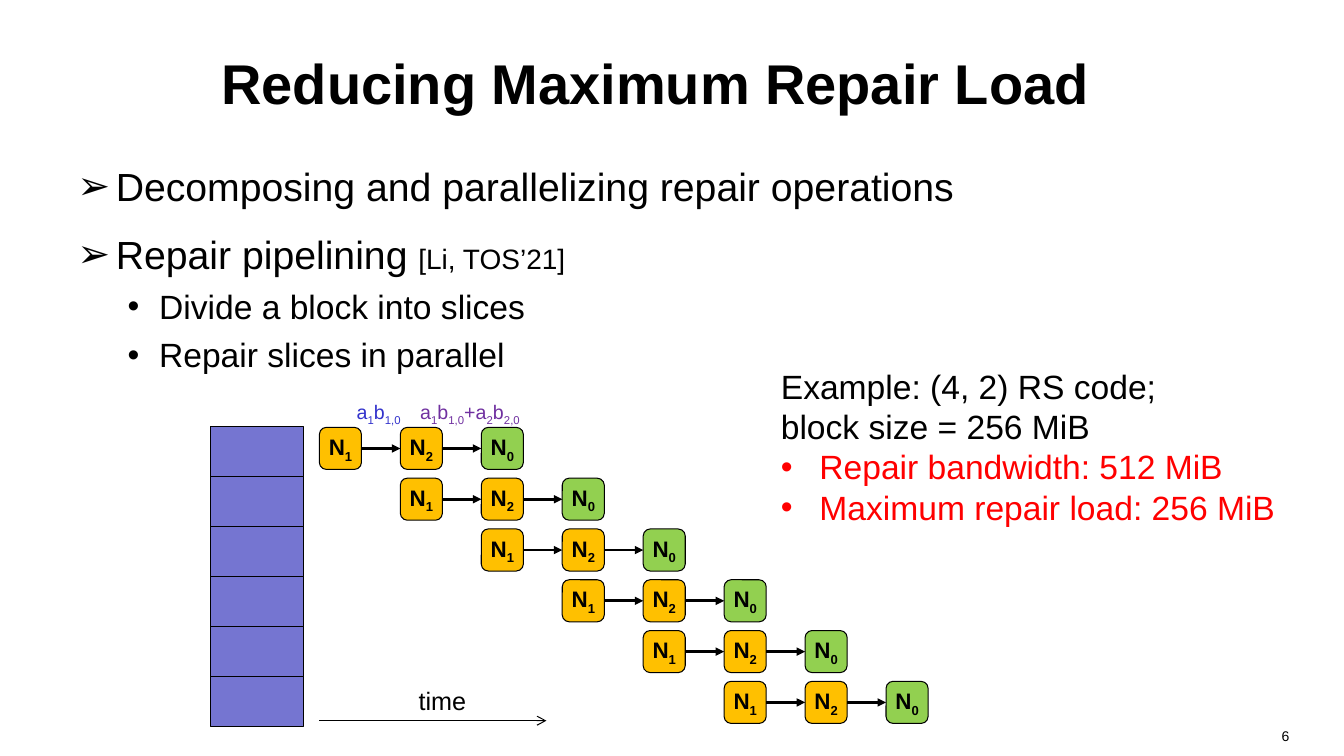
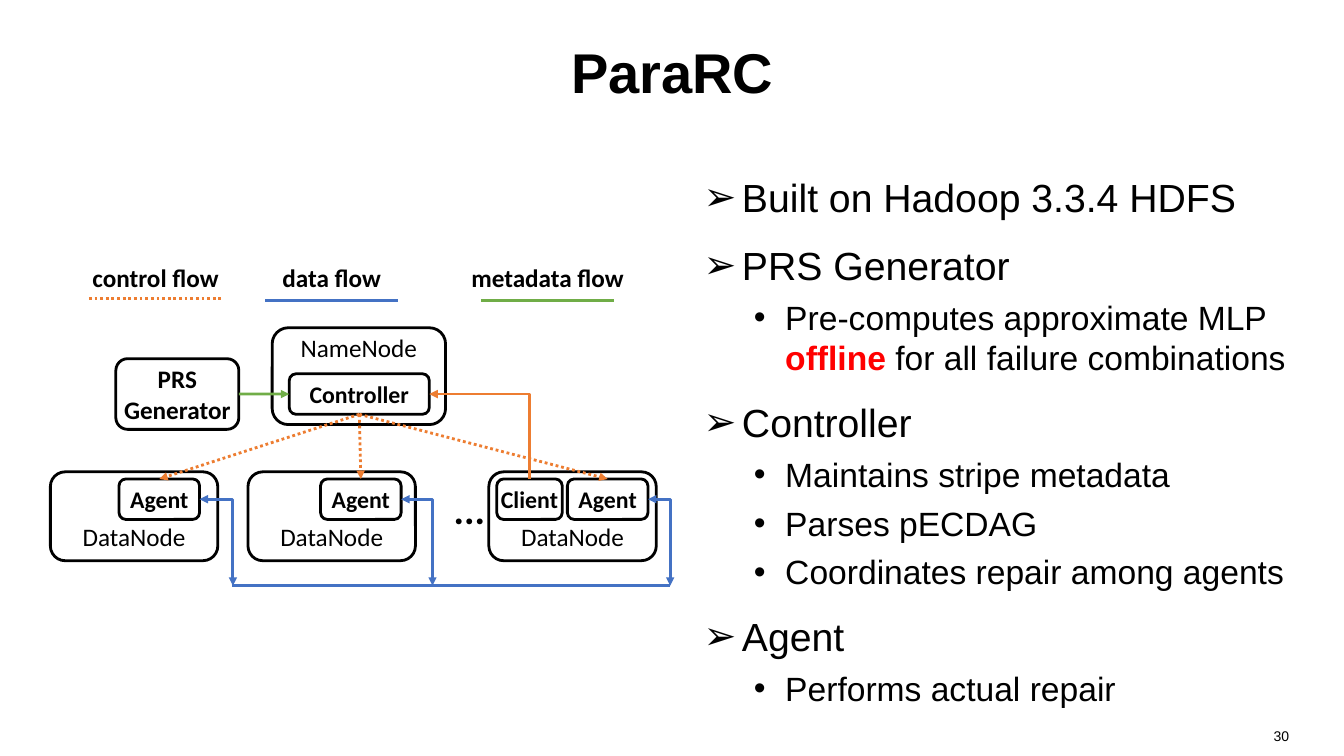
from lxml.etree import SubElement
from pptx import Presentation
from pptx.dml.color import RGBColor
from pptx.enum.dml import MSO_LINE
from pptx.enum.shapes import MSO_CONNECTOR, MSO_SHAPE
from pptx.enum.text import MSO_ANCHOR, PP_ALIGN
from pptx.oxml.ns import qn
from pptx.util import Cm, Pt

BLACK = RGBColor(0x00, 0x00, 0x00)
RED = RGBColor(0xFF, 0x00, 0x00)
SLICE = RGBColor(0x75, 0x75, 0xD1)
HELPER = RGBColor(0xFF, 0xC0, 0x00)
REQUESTOR = RGBColor(0x92, 0xD0, 0x50)
INDIGO = RGBColor(0x33, 0x33, 0xCC)
PURPLE = RGBColor(0x70, 0x30, 0xA0)
ORANGE = RGBColor(0xED, 0x7D, 0x31)
BLUE = RGBColor(0x44, 0x72, 0xC4)
GREEN = RGBColor(0x70, 0xAD, 0x47)

# Bullet level: symbol, text indent (cm), hanging (cm), size (pt), space before (pt)
LEVELS = [("➢", 0.97, 0.97, 28, 15), ("•", 2.06, 0.79, 24, 6)]


class Deck:
    def __init__(self):
        self.prs = Presentation()
        self.prs.slide_width, self.prs.slide_height = Cm(33.87), Cm(19.05)
        self.s = None

    def slide(self, title, number, left, top):
        self.s = self.prs.slides.add_slide(self.prs.slide_layouts[6])
        self.text(title, left, top, 30.48, 3.18, 40, bold=True,
                  anchor=MSO_ANCHOR.MIDDLE)
        self.text(str(number), 24.84, 18.2, 7.9, 0.85, 10, align=PP_ALIGN.RIGHT)

    def run(self, p, text, size, color=BLACK, bold=False, font="Arial"):
        r = p.add_run()
        r.text = text
        r.font.size, r.font.bold, r.font.name = Pt(size), bold, font
        r.font.color.rgb = color
        return r

    def runs(self, p, text, size, **style):
        """Add text whose every second |-separated part is a subscript."""
        for i, part in enumerate(text.split("|")):
            r = self.run(p, part, size, **style)
            if i % 2:
                r._r.get_or_add_rPr().set("baseline", "-25000")

    def frame(self, left, top, width, height):
        box = self.s.shapes.add_textbox(Cm(left), Cm(top), Cm(width), Cm(height))
        box.text_frame.word_wrap = True
        return box.text_frame

    def text(self, text, left, top, width, height, size,
             align=PP_ALIGN.CENTER, anchor=MSO_ANCHOR.TOP, **style):
        tf = self.frame(left, top, width, height)
        tf.vertical_anchor = anchor
        p = tf.paragraphs[0]
        p.alignment = align
        self.runs(p, text, size, **style)

    def bullet(self, p, symbol, indent, hanging):
        pPr = p._p.get_or_add_pPr()
        pPr.set("marL", str(Cm(indent)))
        pPr.set("indent", str(-Cm(hanging)))
        SubElement(pPr, qn("a:buFont")).set("typeface", "Arial")
        SubElement(pPr, qn("a:buChar")).set("char", symbol)

    def bullets(self, items, left, top, width, height):
        """Each item is a level followed by (text, style) runs."""
        tf = self.frame(left, top, width, height)
        for i, (level, *parts) in enumerate(items):
            p = tf.add_paragraph() if i else tf.paragraphs[0]
            symbol, indent, hanging, size, before = LEVELS[level]
            self.bullet(p, symbol, indent, hanging)
            p.level = level
            if i:
                p.space_before = Pt(before)
            for text, style in parts:
                self.run(p, text, **{"size": size, **style})

    def box(self, left, top, width, height, text="", fill=None, line=2,
            kind=MSO_SHAPE.ROUNDED_RECTANGLE, size=17, font="Calibri"):
        sp = self.s.shapes.add_shape(kind, Cm(left), Cm(top), Cm(width), Cm(height))
        sp.shadow.inherit = False
        if fill is None:
            sp.fill.background()
        else:
            sp.fill.solid()
            sp.fill.fore_color.rgb = fill
        sp.line.color.rgb, sp.line.width = BLACK, Pt(line)
        tf = sp.text_frame
        tf.margin_left = tf.margin_right = tf.margin_top = tf.margin_bottom = 0
        tf.vertical_anchor = MSO_ANCHOR.MIDDLE
        for i, row in enumerate(text.splitlines()):
            p = tf.add_paragraph() if i else tf.paragraphs[0]
            p.alignment = PP_ALIGN.CENTER
            self.runs(p, row, size, bold=True, font=font)
        return sp

    def line(self, start=(0, 0), end=(0, 0), color=BLACK, width=2, head=None,
             tail=None, dotted=False, elbow=False):
        """Draw a line; an elbow goes across first, then down."""
        kind = MSO_CONNECTOR.ELBOW if elbow else MSO_CONNECTOR.STRAIGHT
        c = self.s.shapes.add_connector(kind, *map(Cm, (*start, *end)))
        c.line.color.rgb, c.line.width = color, Pt(width)
        if dotted:
            c.line.dash_style = MSO_LINE.ROUND_DOT
        spPr = c._element.spPr
        if elbow:
            spPr.find(qn("a:prstGeom")).set("prst", "bentConnector2")
        for tag, arrow in (("a:headEnd", head), ("a:tailEnd", tail)):
            if arrow:
                SubElement(spPr.find(qn("a:ln")), qn(tag)).set("type", arrow)
        SubElement(spPr, qn("a:effectLst"))
        return c

    def join(self, a, a_side, b, b_side, **style):
        c = self.line(tail="triangle", **style)
        c.begin_connect(a, a_side)
        c.end_connect(b, b_side)


def repair_load(d):
    d.slide("Reducing Maximum Repair Load", 6, 1.27, 0.48)
    d.bullets([
        (0, ("Decomposing and parallelizing repair operations", {})),
        (0, ("Repair pipelining ", {}), ("[Li, TOS’21]", {"size": 20})),
        (1, ("Divide a block into slices", {})),
        (1, ("Repair slices in parallel", {})),
    ], 1.7, 3.96, 30.48, 6)

    for row in range(6):
        d.box(5.3, 10.74 + 1.26 * row, 2.34, 1.26, fill=SLICE, line=0.75,
              kind=MSO_SHAPE.RECTANGLE)
        previous = None
        for col, (name, fill) in enumerate(
                [("N|1", HELPER), ("N|2", HELPER), ("N|0", REQUESTOR)]):
            node = d.box(8.05 + 2.04 * (row + col), 10.77 + 1.28 * row, 1.06, 1.06,
                         name, fill, 0.75, size=16, font="Arial")
            if previous:
                d.join(previous, 3, node, 1)
            previous = node

    d.text("a|1|b|1,0", 8.74, 9.96, 2.2, 0.86, 14, PP_ALIGN.LEFT, color=INDIGO)
    d.text("a|1|b|1,0|+a|2|b|2,0", 10.34, 9.96, 4, 0.86, 14, PP_ALIGN.LEFT,
           color=PURPLE)
    d.line((8.05, 18.16), (13.77, 18.16), width=0.75, tail="arrow")
    d.text("time", 10.05, 17.15, 2.2, 1.02, 18)

    tf = d.frame(19.43, 9.09, 14, 4.37)
    p = tf.paragraphs[0]
    d.run(p, "Example: (4, 2) RS code;", 24)
    p.add_line_break()
    d.run(p, "block size = 256 MiB", 24)
    for cost in ("Repair bandwidth: 512 MiB", "Maximum repair load: 256 MiB"):
        p = tf.add_paragraph()
        d.bullet(p, "•", 0.97, 0.97)
        d.run(p, cost, 24, RED)


def pararc(d):
    d.slide("ParaRC", 30, 1.7, 0.2)
    d.bullets([
        (0, ("Built on Hadoop 3.3.4 HDFS", {})),
        (0, ("PRS Generator", {})),
        (1, ("Pre-computes approximate MLP ", {}),
            ("offline", {"color": RED, "bold": True}),
            (" for all failure combinations", {})),
        (0, ("Controller", {})),
        (1, ("Maintains stripe metadata", {})),
        (1, ("Parses pECDAG", {})),
        (1, ("Coordinates repair among agents", {})),
        (0, ("Agent", {})),
        (1, ("Performs actual repair", {})),
    ], 17.48, 4.24, 16.38, 13.92)

    for name, center, y, color, dotted in [
            ("control flow", 3.92, 7.52, ORANGE, True),
            ("data flow", 8.36, 7.57, BLUE, False),
            ("metadata flow", 13.8, 7.57, GREEN, False)]:
        d.text(name, center - 2.5, 6.48, 5, 1.02, 18, bold=True, font="Calibri")
        d.line((center - 1.68, y), (center + 1.68, y), color, dotted=dotted)

    d.box(6.86, 8.26, 4.37, 2.44)
    d.text("NameNode", 6.86, 8.26, 4.37, 1.02, 18, font="Calibri")
    controller = d.box(7.29, 9.42, 3.53, 1.02, "Controller")
    generator = d.box(2.92, 9.04, 3.1, 1.78, "PRS\nGenerator", size=18)
    d.join(generator, 3, controller, 1, color=GREEN)

    bus_y = 14.76
    d.line((5.84, bus_y), (16.89, bus_y), BLUE)
    for node_x, agent_x, bus_x in [
            (1.27, 3, 5.87), (6.25, 8.08, 10.9), (12.32, 14.3, 16.89)]:
        d.box(node_x, 11.89, 4.22, 2.24)
        d.text("DataNode", node_x, 13, 4.22, 1.02, 18, font="Calibri")
        agent = d.box(agent_x, 12.07, 2.03, 1.02, "Agent")
        d.join(controller, 2, agent, 0, color=ORANGE, dotted=True)
        d.line((agent_x + 2.03, 12.58), (bus_x, bus_y), BLUE, head="triangle",
               tail="triangle", elbow=True)
    d.box(12.52, 12.07, 1.65, 1.02, "Client")
    d.line((10.82, 9.93), (13.34, 12.07), ORANGE, head="triangle", elbow=True)
    d.text("...", 11.08, 12.22, 1.5, 1.19, 28, anchor=MSO_ANCHOR.MIDDLE,
           bold=True, font="Calibri")


def main():
    d = Deck()
    repair_load(d)
    pararc(d)
    d.prs.save("out.pptx")


if __name__ == "__main__":
    main()
